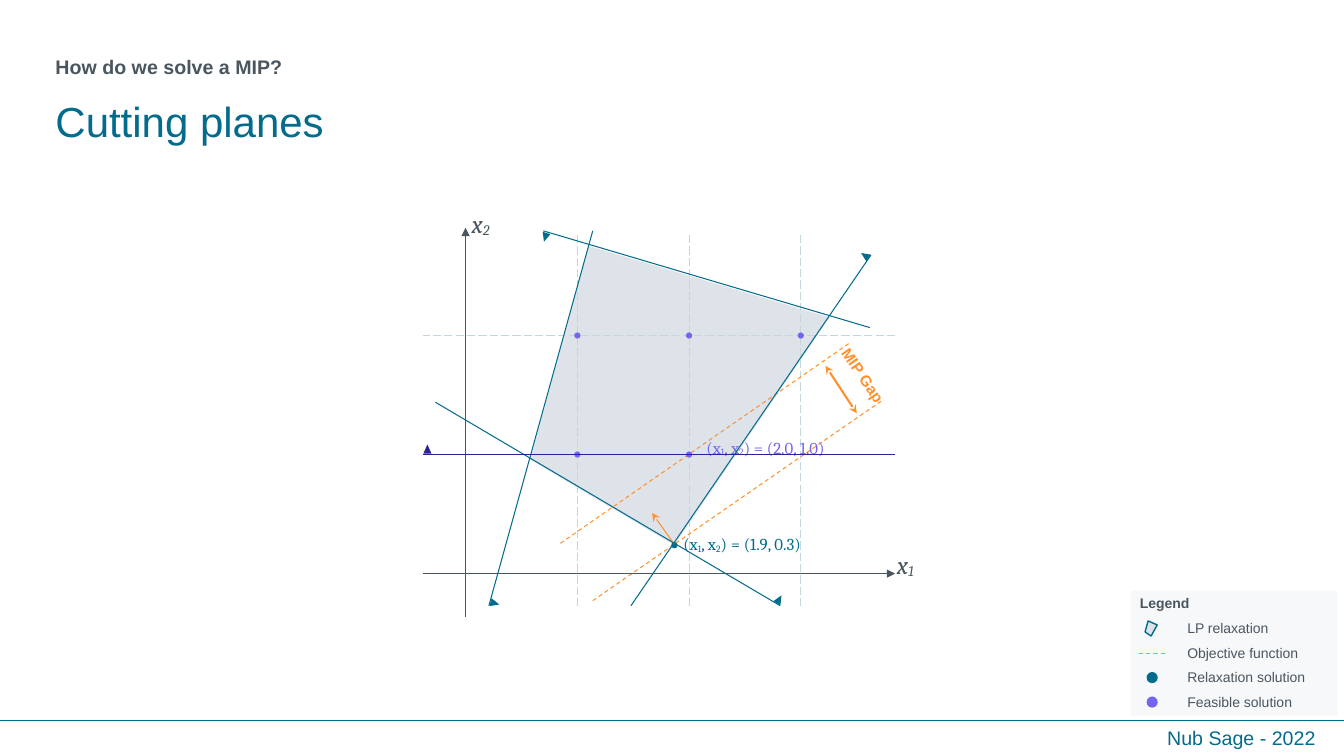
"""Build the cutting planes slide with its plot and legend."""
from dataclasses import dataclass
from typing import Optional

from lxml.etree import SubElement
from pptx import Presentation
from pptx.dml.color import RGBColor
from pptx.enum.dml import MSO_LINE
from pptx.enum.shapes import MSO_CONNECTOR, MSO_SHAPE
from pptx.enum.text import MSO_ANCHOR, MSO_AUTO_SIZE, PP_ALIGN
from pptx.oxml.ns import qn
from pptx.util import Pt

TEAL = RGBColor(0x03, 0x6B, 0x8B)
GRAY = RGBColor(0x49, 0x56, 0x5F)
PALE = RGBColor(0xDD, 0xE3, 0xE9)
GRID = RGBColor(0xC5, 0xD6, 0xDC)
ORANGE = RGBColor(0xFF, 0x91, 0x2D)
PEACH = RGBColor(0xF4, 0x96, 0x5A)
VIOLET = RGBColor(0x73, 0x65, 0xEE)
INDIGO = RGBColor(0x2A, 0x22, 0x96)

X0, Y0, UNIT_X, UNIT_Y = 332.6, 409.7, 79.8, 85
LEFT, RIGHT, TOP, BOTTOM = 302.4, 639.4, 167.8, 434.2
DOT = 4.4


@dataclass
class Line:
    x1: float
    y1: float
    x2: float
    y2: float
    color: RGBColor
    width: float = 0.75
    dash: Optional[MSO_LINE] = None
    head: str = ""
    tail: str = ""


@dataclass
class Shape:
    kind: MSO_SHAPE
    x: float
    y: float
    w: float
    h: float
    color: RGBColor
    rotation: float = 0


@dataclass
class Label:
    x: float
    y: float
    w: float
    h: float
    runs: tuple[str, ...]
    color: RGBColor
    size: float = 10
    name: str = "Arial"
    bold: bool = False
    italic: bool = False
    wrap: bool = True
    rotation: float = 0
    align: PP_ALIGN = PP_ALIGN.LEFT


def grid_x(i: float) -> float:
    return X0 + UNIT_X * i


def grid_y(j: float) -> float:
    return Y0 - UNIT_Y * j


def draw_line(s, line: Line) -> None:
    c = s.shapes.add_connector(MSO_CONNECTOR.STRAIGHT, Pt(line.x1), Pt(line.y1), Pt(line.x2), Pt(line.y2))
    c.line.color.rgb = line.color
    c.line.width = Pt(line.width)
    if line.dash:
        c.line.dash_style = line.dash
    for tag, kind in (("a:headEnd", line.head), ("a:tailEnd", line.tail)):
        if kind:
            SubElement(c.line._get_or_add_ln(), qn(tag)).set("type", kind)
    SubElement(c._element.spPr, qn("a:effectLst"))


def paint(sp, fill: RGBColor, outline: Optional[RGBColor] = None) -> None:
    sp.shadow.inherit = False
    sp.fill.solid()
    sp.fill.fore_color.rgb = fill
    if outline is None:
        sp.line.fill.background()
    else:
        sp.line.color.rgb = outline
        sp.line.width = Pt(1)


def draw_shape(s, shape: Shape):
    sp = s.shapes.add_shape(shape.kind, Pt(shape.x), Pt(shape.y), Pt(shape.w), Pt(shape.h))
    sp.rotation = shape.rotation
    paint(sp, shape.color)
    return sp


def draw_dot(s, x: float, y: float, color: RGBColor, size: float = DOT) -> None:
    draw_shape(s, Shape(MSO_SHAPE.OVAL, x - size / 2, y - size / 2, size, size, color))


def draw_arrow(s, x: float, y: float, rotation: float, color: RGBColor) -> None:
    draw_shape(s, Shape(MSO_SHAPE.ISOSCELES_TRIANGLE, x, y, 5.8, 6.5, color, rotation))


def draw_polygon(s, points: list[tuple[float, float]], outline: Optional[RGBColor] = None) -> None:
    corners = [(Pt(x), Pt(y)) for x, y in points]
    builder = s.shapes.build_freeform(*corners[0])
    builder.add_line_segments(corners[1:], close=True)
    paint(builder.convert_to_shape(), PALE, outline)


def draw_label(s, label: Label) -> None:
    """Write a label whose every second run is a subscript."""
    sp = s.shapes.add_textbox(Pt(label.x), Pt(label.y), Pt(label.w), Pt(label.h))
    sp.rotation = label.rotation
    tf = sp.text_frame
    tf.word_wrap = label.wrap
    p = tf.paragraphs[0]
    p.alignment = label.align
    for i, text in enumerate(label.runs):
        r = p.add_run()
        r.text = text
        fmt = {"size": Pt(label.size), "name": label.name, "bold": label.bold, "italic": label.italic}
        for key, value in fmt.items():
            setattr(r.font, key, value)
        r.font.color.rgb = label.color
        if i % 2:
            r._r.get_or_add_rPr().set("baseline", "-8000")


def fill_placeholder(sp, box: tuple[float, ...], text: str, color: RGBColor, size: float, bold: bool) -> None:
    for key, value in zip(("left", "top", "width", "height"), box):
        setattr(sp, key, Pt(value))
    tf = sp.text_frame
    tf.text = text
    p = tf.paragraphs[0]
    formats = (
        (tf, {"auto_size": MSO_AUTO_SIZE.NONE, "vertical_anchor": MSO_ANCHOR.MIDDLE, "word_wrap": True}),
        (p, {"alignment": PP_ALIGN.LEFT, "line_spacing": 0.9, "space_before": Pt(0)}),
        (p.runs[0].font, {"size": Pt(size), "name": "Arial", "bold": bold}),
    )
    for target, fmt in formats:
        for key, value in fmt.items():
            setattr(target, key, value)
    p.runs[0].font.color.rgb = color


def draw_legend(s) -> None:
    panel = draw_shape(s, Shape(MSO_SHAPE.RECTANGLE, 807.8, 421.9, 147.6, 89.3, PALE))
    color = panel._element.spPr.find(qn("a:solidFill"))[0]
    SubElement(color, qn("a:alpha")).set("val", "22000")
    draw_label(s, Label(807.1, 421.2, 133.2, 19.4, ("Legend",), GRAY, bold=True))
    for i, text in enumerate(("LP relaxation", "Objective function", "Relaxation solution", "Feasible solution")):
        draw_label(s, Label(841, 439.2 + 17.5 * i, 113, 19.4, (text,), GRAY))
    draw_polygon(s, [(820.1, 443.5), (826.6, 446.4), (822.2, 454.3), (817.9, 451.4)], TEAL)
    draw_line(s, Line(813.6, 466.6, 833.8, 466.6, PEACH, dash=MSO_LINE.DASH))
    draw_dot(s, 823, 484, TEAL, 8)
    draw_dot(s, 823, 501.5, VIOLET, 8)


def draw_plot(s) -> None:
    draw_polygon(s, [(420.5, 175.7), (592.6, 226.8), (481.7, 389.5), (378.7, 328.3)])
    grid = [Line(grid_x(i), TOP, grid_x(i), BOTTOM, GRID, dash=MSO_LINE.LONG_DASH) for i in (1, 2, 3)]
    grid += [Line(RIGHT, grid_y(j), LEFT, grid_y(j), GRID, dash=MSO_LINE.LONG_DASH) for j in (1, 2)]
    objective = [
        Line(400.3, 388.1, 606.2, 245.5, ORANGE, dash=MSO_LINE.DASH),
        Line(423.4, 429.1, 629.3, 286.6, ORANGE, dash=MSO_LINE.DASH),
        Line(589.7, 261.4, 612, 295.2, ORANGE, 1.5, head="stealth", tail="stealth"),
        Line(481.7, 388.8, 465.8, 366.5, ORANGE, tail="stealth"),
    ]
    axes = [
        Line(RIGHT, Y0, LEFT, Y0, GRAY, head="triangle"),
        Line(X0, 162.7, X0, 440.6, GRAY, head="triangle"),
    ]
    for line in grid + objective + axes:
        draw_line(s, line)
    draw_dot(s, 481.7, 389.5, TEAL)
    for label in (
        Label(578.9, 254.9, 64.1, 33.8, ("MIP Gap",), ORANGE, 11, bold=True, rotation=55.3, align=PP_ALIGN.CENTER),
        Label(329.8, 145.4, 27.4, 25.2, ("x", "2"), GRAY, 18, "Cambria", italic=True, wrap=False),
        Label(633.6, 388.8, 27.4, 25.2, ("x", "1"), GRAY, 18, "Cambria", italic=True),
        Label(497.5, 308.9, 103.7, 19.4, ("(x", "1", ", x", "2", ") = (2.0, 1.0)"), VIOLET, 12, "Cambria", wrap=False),
        Label(481, 378, 103.7, 19.4, ("(x", "1", ", x", "2", ") = (1.9, 0.3)"), TEAL, 12, "Cambria", wrap=False),
    ):
        draw_label(s, label)
    for ends in ((349.2, 432.7, 423.4, 164.9), (621.4, 234, 388.1, 164.9),
                 (622.1, 182.2, 450.7, 432.7), (311, 287.3, 557.3, 432.7)):
        draw_line(s, Line(*ends, TEAL))
    for arrow in ((553.7, 424.8, 30.7), (350.6, 427.7, 104.9), (386.6, 166.3, 196.8), (614.9, 179.3, 303.8)):
        draw_arrow(s, *arrow, TEAL)
    for i, j in ((1, 1), (2, 1), (1, 2), (2, 2), (3, 2)):
        draw_dot(s, grid_x(i), grid_y(j), VIOLET)
    draw_arrow(s, LEFT, 317.5, 0, INDIGO)
    draw_line(s, Line(RIGHT, grid_y(1), LEFT, grid_y(1), INDIGO))


def main() -> None:
    prs = Presentation()
    prs.slide_width, prs.slide_height = Pt(960), Pt(540)
    s = prs.slides.add_slide(prs.slide_layouts[4])
    title, body, *unused = s.placeholders
    for sp in unused:
        s.shapes.element.remove(sp.element)
    fill_placeholder(title, (32.4, 64.8, 828, 47.5), "Cutting planes", TEAL, 30, False)
    fill_placeholder(body, (32.4, 39.6, 434.2, 18), "How do we solve a MIP?", GRAY, 14, True)
    draw_legend(s)
    draw_line(s, Line(0, 514.8, 960, 514.8, TEAL))
    draw_label(s, Label(826.6, 514.8, 122.4, 24.5, ("Nub Sage - 2022",), TEAL, 14))
    draw_plot(s)
    prs.save("out.pptx")


if __name__ == "__main__":
    main()
